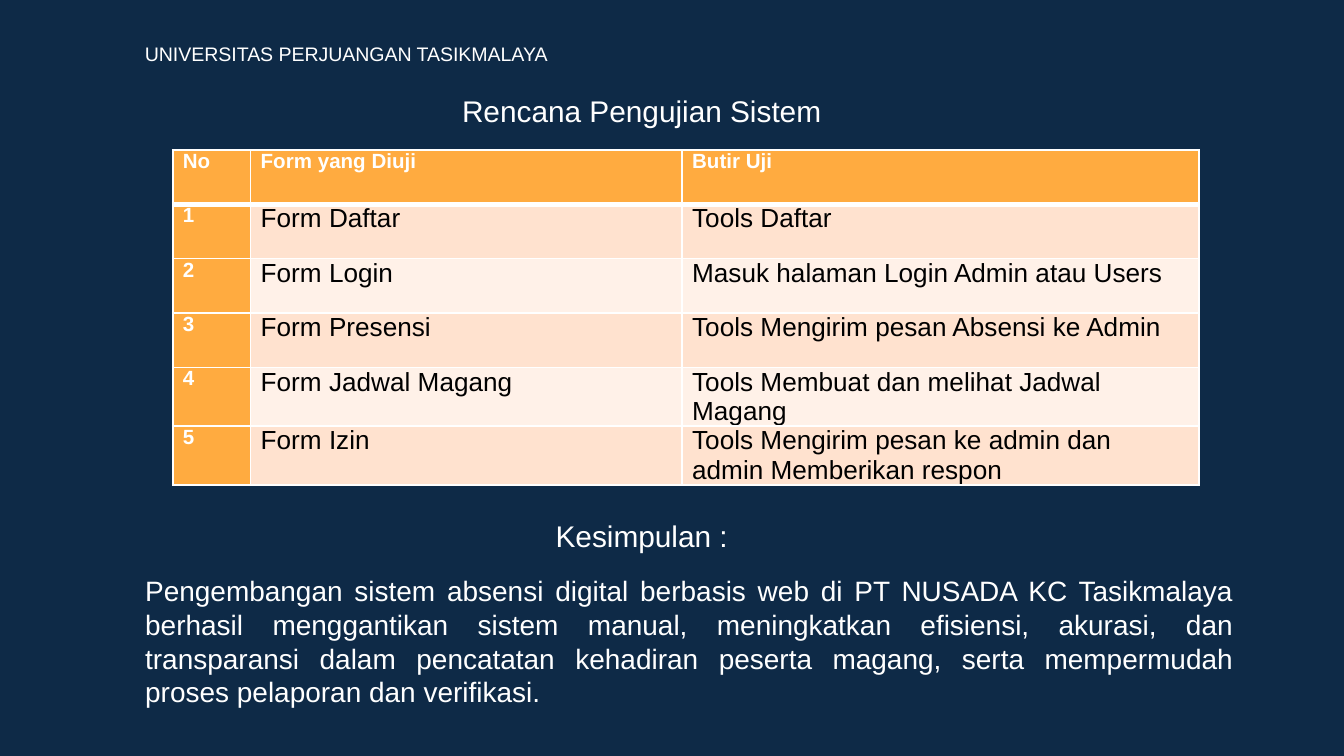
from dataclasses import dataclass

from lxml.etree import SubElement
from pptx import Presentation
from pptx.dml.color import RGBColor
from pptx.enum.text import MSO_ANCHOR, MSO_AUTO_SIZE, PP_ALIGN
from pptx.oxml.ns import qn
from pptx.util import Pt

EMU_PER_PX = 4572  # 200 px to the inch


def px(length):
    return length * EMU_PER_PX


@dataclass(frozen=True)
class Theme:
    font: str = "Arial"
    background: str = "0E2A47"
    light: str = "FFFFFF"
    dark: str = "000000"
    accent: str = "FFAB40"
    bands: tuple = ("FFE2CF", "FFF1E8")
    heading_size: float = 16
    body_size: float = 15
    cell_size: float = 14
    label_size: float = 11
    banner_size: float = 10.5


def write_text(frame, text, *, font, size, color, bold=False, align=PP_ALIGN.LEFT):
    paragraph = frame.paragraphs[0]
    paragraph.alignment = align
    paragraph.space_before = Pt(0)
    run = paragraph.add_run()
    run.text = text
    run.font.name = font
    run.font.size = Pt(size)
    run.font.bold = bold
    run.font.color.rgb = RGBColor.from_string(color)


def set_border(cell, side, width, color):
    line = SubElement(cell._tc.get_or_add_tcPr(), qn(f"a:ln{side}"), w=str(Pt(width)))
    fill = SubElement(line, qn("a:solidFill"))
    SubElement(fill, qn("a:srgbClr"), val=color)


class SlideBuilder:
    def __init__(self, slide, theme):
        self.slide = slide
        self.theme = theme
        background = slide.background.fill
        background.solid()
        background.fore_color.rgb = RGBColor.from_string(theme.background)

    def fill_frame(self, shape, box, text, inset, **style):
        """Place a text shape and write its single paragraph."""
        shape.left, shape.top, shape.width, shape.height = map(px, box)
        frame = shape.text_frame
        frame.word_wrap = True
        frame.auto_size = MSO_AUTO_SIZE.NONE
        frame.vertical_anchor = MSO_ANCHOR.TOP
        frame.margin_left = frame.margin_right = px(20)
        frame.margin_top = frame.margin_bottom = px(inset)
        write_text(frame, text, font=self.theme.font, color=self.theme.light, **style)

    def title(self, box, text):
        self.fill_frame(self.slide.shapes.title, box, text, 20,
                        size=self.theme.heading_size, align=PP_ALIGN.CENTER)

    def body(self, box, text):
        shape = self.slide.placeholders[1]
        properties = shape.text_frame.paragraphs[0]._p.get_or_add_pPr()
        properties.set("marL", "0")
        properties.set("indent", "0")
        SubElement(properties, qn("a:buNone"))
        self.fill_frame(shape, box, text, 20, size=self.theme.body_size,
                        align=PP_ALIGN.JUSTIFY)

    def text(self, box, text, inset=20, **style):
        shape = self.slide.shapes.add_textbox(*map(px, box))
        self.fill_frame(shape, box, text, inset, **style)

    def table(self, left, top, column_widths, row_height, rows):
        frame = self.slide.shapes.add_table(
            len(rows), len(column_widths), px(left), px(top),
            px(sum(column_widths)), px(row_height * len(rows)))
        table = frame.table
        for column, width in zip(table.columns, column_widths):
            column.width = px(width)
        for row_index, values in enumerate(rows):
            table.rows[row_index].height = px(row_height)
            for column_index, value in enumerate(values):
                self.table_cell(table.cell(row_index, column_index),
                                value, row_index, column_index)

    def table_cell(self, cell, value, row_index, column_index):
        theme = self.theme
        is_label = row_index == 0 or column_index == 0
        cell.margin_left = cell.margin_right = px(15)
        cell.margin_top = cell.margin_bottom = 0
        cell.vertical_anchor = MSO_ANCHOR.TOP
        widths = {"L": 1, "R": 1, "T": 3 if row_index == 1 else 1,
                  "B": 3 if row_index == 0 else 1}
        for side, width in widths.items():
            set_border(cell, side, width, theme.light)
        band = theme.bands[(row_index - 1) % len(theme.bands)]
        cell.fill.solid()
        cell.fill.fore_color.rgb = RGBColor.from_string(theme.accent if is_label else band)
        write_text(cell.text_frame, value, font=theme.font, bold=is_label,
                   size=theme.label_size if is_label else theme.cell_size,
                   color=theme.light if is_label else theme.dark)


TEST_PLAN = [
    ("Form Daftar", "Tools Daftar"),
    ("Form Login", "Masuk halaman Login Admin atau Users"),
    ("Form Presensi", "Tools Mengirim pesan Absensi ke Admin"),
    ("Form Jadwal Magang", "Tools Membuat dan melihat Jadwal Magang"),
    ("Form Izin", "Tools Mengirim pesan ke admin dan admin Memberikan respon"),
]

CONCLUSION = (
    "Pengembangan sistem absensi digital berbasis web di PT NUSADA KC Tasikmalaya "
    "berhasil menggantikan sistem manual, meningkatkan efisiensi, akurasi, dan "
    "transparansi dalam pencatatan kehadiran peserta magang, serta mempermudah "
    "proses pelaporan dan verifikasi."
)


def main():
    presentation = Presentation()
    presentation.slide_width = px(2000)
    presentation.slide_height = px(1125)
    theme = Theme()
    slide = presentation.slides.add_slide(presentation.slide_layouts[1])
    builder = SlideBuilder(slide, theme)

    rows = [("No", "Form yang Diuji", "Butir Uji")]
    rows += [(str(number), *entry) for number, entry in enumerate(TEST_PLAN, 1)]
    builder.table(257, 223, (116, 642, 769), 81, rows)
    builder.title((626, 118, 658, 106), "Rencana Pengujian Sistem")
    builder.text((777, 751, 356, 66), "Kesimpulan :",
                 size=theme.heading_size, align=PP_ALIGN.CENTER)
    builder.body((196, 834, 1660, 266), CONCLUSION)
    builder.text((196, 52, 1038, 56), "UNIVERSITAS PERJUANGAN TASIKMALAYA",
                 inset=10, size=theme.banner_size)
    presentation.save("out.pptx")


if __name__ == "__main__":
    main()
